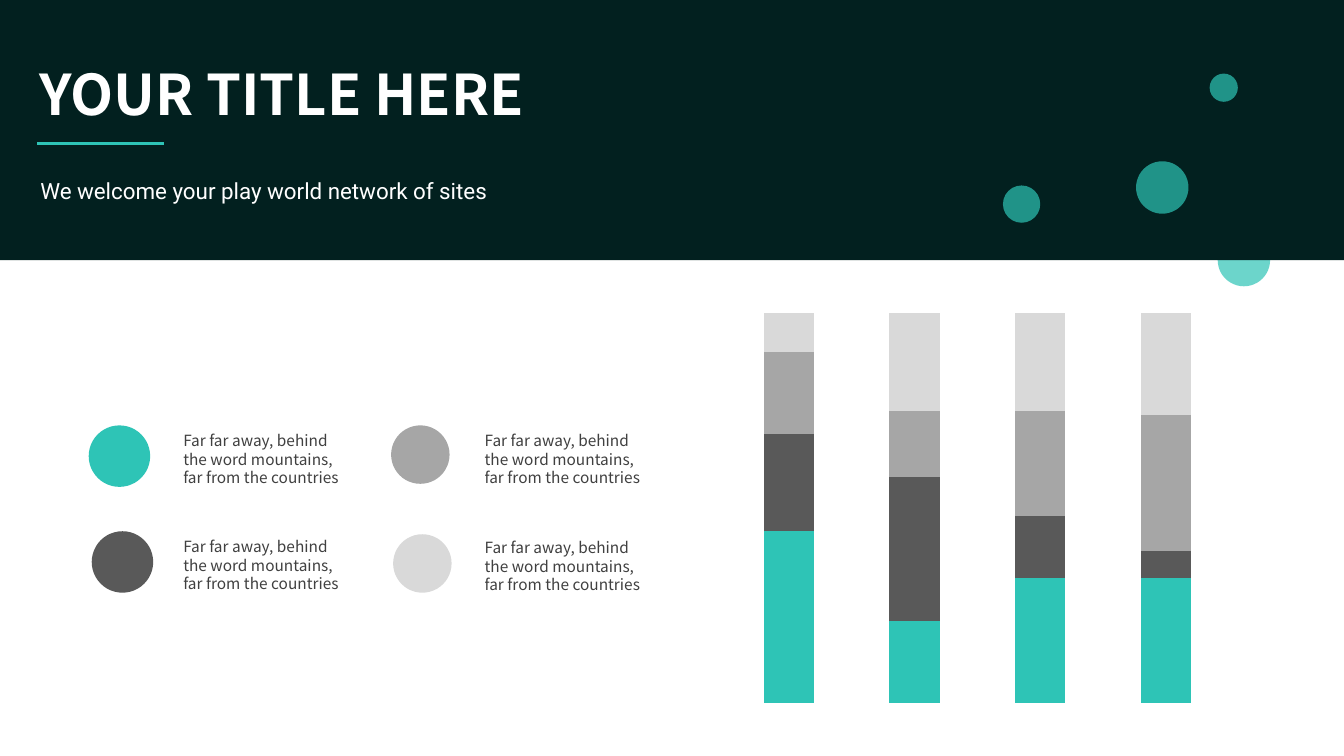
from lxml import etree
from pptx import Presentation
from pptx.chart.data import CategoryChartData
from pptx.dml.color import RGBColor
from pptx.enum.chart import XL_CHART_TYPE
from pptx.enum.shapes import MSO_CONNECTOR, MSO_SHAPE
from pptx.enum.text import MSO_ANCHOR, MSO_AUTO_SIZE, PP_ALIGN
from pptx.oxml import parse_xml
from pptx.oxml.ns import nsdecls, qn
from pptx.util import Inches, Pt

STACKED = XL_CHART_TYPE.COLUMN_STACKED_100
STRAIGHT = MSO_CONNECTOR.STRAIGHT
OVAL, RECT = MSO_SHAPE.OVAL, MSO_SHAPE.RECTANGLE
TOP, MIDDLE = MSO_ANCHOR.TOP, MSO_ANCHOR.MIDDLE
LEFT = PP_ALIGN.LEFT
NO_FIT = MSO_AUTO_SIZE.NONE

# The slide is a grid of square cells
COLUMNS, ROWS = 133.33, 75
CELL = Inches(0.1)

TEAL, DARK, WHITE, TEXT = "2EC4B6", "02201F", "FFFFFF", "404040"
SERIES_COLORS = [TEAL, "595959", "A6A6A6", "D9D9D9"]
SERIES_VALUES = [(44, 21, 32, 32), (25, 37, 16, 7), (21, 17, 27, 35), (10, 25, 25, 26)]
LEGEND_TEXT = "Far far away, behind the word mountains, far from the countries"


def cells(*counts):
    return [round(n * CELL) for n in counts]


def rgb(color):
    return RGBColor.from_string(color)


def add_block(slide, kind, box, color, alpha=None):
    sp = slide.shapes.add_shape(kind, *cells(*box))
    sp.shadow.inherit = False
    sp.fill.solid()
    sp.fill.fore_color.rgb = rgb(color)
    sp.line.fill.background()
    if alpha is not None:
        clr = sp.fill._xPr.find(qn("a:solidFill"))[0]
        etree.SubElement(clr, qn("a:alpha")).set("val", str(alpha * 1000))


def add_circle(slide, x, y, size, color, alpha=None):
    add_block(slide, OVAL, (x, y, size, size), color, alpha)


def write(sp, box, text, font, size, color, spacing, bold=False, anchor=TOP, inset=0.5):
    sp.left, sp.top, sp.width, sp.height = cells(*box)
    tf = sp.text_frame
    tf.text = text
    tf.word_wrap = True
    tf.auto_size = NO_FIT
    tf.vertical_anchor = anchor
    tf.margin_top, tf.margin_bottom = cells(inset, 0.5)
    p = tf.paragraphs[0]
    p.alignment = LEFT
    p.space_before = Pt(0)
    p.line_spacing = spacing
    r = p.runs[0]
    r.font.name, r.font.size, r.font.bold = font, Pt(size), bold
    r.font.color.rgb = rgb(color)
    # East Asian face follows the Latin one
    etree.SubElement(r.font._element, qn("a:ea")).set("typeface", font)


def add_columns(slide):
    data = CategoryChartData()
    data.categories = ["1", "2", "3", "4"]
    for number, values in enumerate(SERIES_VALUES, 1):
        data.add_series(f"Series {number}", values)
    box = cells(69.4, 28.2, 53.4, 46.5)
    chart = slide.shapes.add_chart(STACKED, *box, data).chart
    chart.has_legend = chart.has_title = False
    chart.font.name, chart.font.size = "Roboto", Pt(9)
    chart.font.color.rgb = rgb(TEXT)
    for axis in (chart.category_axis, chart.value_axis):
        axis.has_major_gridlines = False
        axis.visible = False
    plot = chart.plots[0]
    plot.gap_width, plot.overlap = 150, 100
    plot.vary_by_categories = False
    for series, color in zip(plot.series, SERIES_COLORS):
        series.format.fill.solid()
        series.format.fill.fore_color.rgb = rgb(color)
    # Fixed plot area, as shares of the chart
    area = chart._chartSpace.chart.plotArea
    for old in area.findall(qn("c:layout")):
        area.remove(old)
    shares = {"x": 0.049, "y": 0.062, "w": 0.934, "h": 0.831}
    places = "".join(f'<c:{k}Mode val="edge"/>' for k in "xy")
    places += "".join(f'<c:{k} val="{v}"/>' for k, v in shares.items())
    area.insert(0, parse_xml(
        f'<c:layout {nsdecls("c")}><c:manualLayout><c:layoutTarget val="inner"/>'
        f"{places}</c:manualLayout></c:layout>"))


def add_legend_item(slide, text_x, text_y, circle, color):
    sp = slide.shapes.add_textbox(0, 0, CELL, CELL)
    write(sp, (text_x, text_y, 18.3, 6.6), LEGEND_TEXT, "Noto Sans CJK SC", 11, TEXT,
          Pt(13.2), inset=0.6)
    add_circle(slide, *circle, color)


def add_rule(slide, x1, x2, y):
    line = slide.shapes.add_connector(STRAIGHT, *cells(x1, y, x2, y))
    line.line.color.rgb = rgb(TEAL)
    line.line.width = Pt(2.25)
    etree.SubElement(line._element.spPr, qn("a:effectLst"))


def main():
    prs = Presentation()
    prs.slide_width, prs.slide_height = cells(COLUMNS, ROWS)
    slide = prs.slides.add_slide(prs.slide_layouts[0])
    title, subtitle = slide.placeholders

    # Chart and its legend
    add_columns(slide)
    legend = [(17.2, 42.2, (8.8, 42.2, 6.1)), (17.2, 52.7, (9.1, 52.7, 6.1)),
              (47.1, 42.2, (38.8, 42.2, 5.8)), (47.1, 52.8, (39, 53, 5.8))]
    for (x, y, circle), color in zip(legend, SERIES_COLORS):
        add_legend_item(slide, x, y, circle, color)

    # Header band, with one bubble behind it and three in front
    add_circle(slide, 120.8, 23.2, 5.2, TEAL, 70)
    add_block(slide, RECT, (0, 0, COLUMNS, 25.8), DARK)
    for x, y, size in [(112.7, 16, 5.2), (120, 7.3, 2.8), (99.5, 18.4, 3.7)]:
        add_circle(slide, x, y, size, TEAL, 70)

    # Heading, raised above the band
    write(title, (2.9, 4.9, 51.9, 7.7), "YOUR TITLE HERE", "Noto Sans CJK JP", 40, WHITE,
          Pt(48), bold=True, inset=1)
    write(subtitle, (3, 16.2, 46.7, 4.7), "We welcome your play world network of sites",
          "Roboto", 16, WHITE, 1.3, anchor=MIDDLE)
    tree = slide.shapes._spTree
    tree.append(title._element)
    add_rule(slide, 3.7, 16.3, 14.2)
    tree.append(subtitle._element)

    prs.save("out.pptx")


if __name__ == "__main__":
    main()
